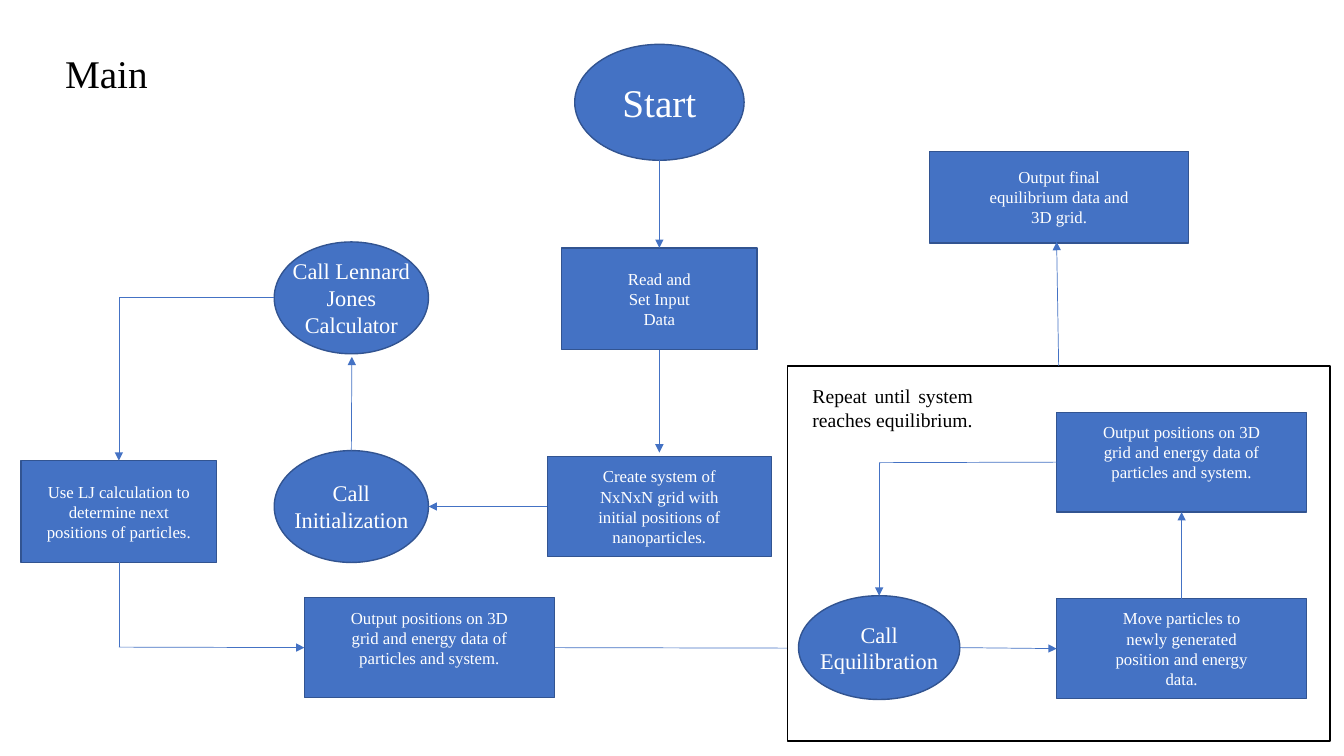
import pptx
import pptx.dml.color
import pptx.enum.shapes
import pptx.enum.text
import pptx.oxml
import pptx.oxml.ns
import pptx.util

Inches = pptx.util.Inches
Shape = pptx.enum.shapes.MSO_SHAPE
Connector = pptx.enum.shapes.MSO_CONNECTOR
Align = pptx.enum.text.PP_ALIGN

COLORS = {
    "node": "4472C4",
    "node_line": "325491",
    "white": "FFFFFF",
    "black": "000000",
}
FONT = "Times New Roman"
TOP, LEFT, BOTTOM, RIGHT = range(4)
INSET = 0.05
LINE_SPACING = 1.2


def color(name):
    return pptx.dml.color.RGBColor.from_string(COLORS[name])


def side_middle(shape, side):
    """Return the middle of one side of a shape's bounding box, in EMU."""
    across = {LEFT: 0, RIGHT: shape.width}.get(side, shape.width // 2)
    down = {TOP: 0, BOTTOM: shape.height}.get(side, shape.height // 2)
    return shape.left + across, shape.top + down


class Flowchart:
    def __init__(self, slide):
        self.slide = slide

    def box(self, kind, left, top, width, height,
            fill="node", line="node_line", shapes=None):
        shapes = shapes or self.slide.shapes
        shape = shapes.add_shape(
            kind, Inches(left), Inches(top), Inches(width), Inches(height))
        shape.shadow.inherit = False
        shape.fill.solid()
        shape.fill.fore_color.rgb = color(fill)
        shape.line.color.rgb = color(line)
        shape.line.width = pptx.util.Pt(1)
        return shape

    def label(self, text, left, top, width, lines, size,
              ink="white", align=Align.CENTER, shapes=None):
        shapes = shapes or self.slide.shapes
        height = self.label_height(lines, size)
        text_box = shapes.add_textbox(
            Inches(left), Inches(top), Inches(width), Inches(height))
        text_frame = text_box.text_frame
        text_frame.word_wrap = True
        text_frame.auto_size = pptx.enum.text.MSO_AUTO_SIZE.SHAPE_TO_FIT_TEXT
        text_frame.text = text
        paragraph = text_frame.paragraphs[0]
        paragraph.alignment = align
        font = paragraph.runs[0].font
        font.name = FONT
        font.size = pptx.util.Pt(size)
        font.color.rgb = color(ink)

    @staticmethod
    def label_height(lines, size):
        return 2 * INSET + lines * size * LINE_SPACING / 72

    def node(self, kind, bounds, text, label_width, lines, size=12):
        """Group a filled shape with a label centred on it; return the shape."""
        left, top, width, height = bounds
        shapes = self.slide.shapes.add_group_shape().shapes
        shape = self.box(kind, *bounds, shapes=shapes)
        self.label(text, left + (width - label_width) / 2,
                   top + (height - self.label_height(lines, size)) / 2,
                   label_width, lines, size, shapes=shapes)
        return shape

    def step(self, bounds, text, label_width, lines):
        return self.node(Shape.RECTANGLE, bounds, text, label_width, lines)

    def call(self, bounds, text, lines):
        return self.node(Shape.OVAL, bounds, text, 1.53, lines, 16)

    def link(self, start, end, arrow=True, elbow=False):
        """Draw a line; each end is (shape, side) or (x, y) in inches."""
        points = [
            tuple(map(Inches, place)) if isinstance(place[0], (int, float))
            and not hasattr(place[0], "left") else side_middle(*place)
            for place in (start, end)]
        kind = Connector.ELBOW if elbow else Connector.STRAIGHT
        connector = self.slide.shapes.add_connector(
            kind, *points[0], *points[1])
        for place, connect in ((start, connector.begin_connect),
                               (end, connector.end_connect)):
            shape = place[0]
            if (hasattr(shape, "auto_shape_type")
                    and shape.auto_shape_type == Shape.RECTANGLE):
                connect(*place)
        connector.line.color.rgb = color("node")
        connector.line.width = pptx.util.Pt(0.5)
        properties = connector._element.spPr
        if elbow:
            geometry = properties.find(pptx.oxml.ns.qn("a:prstGeom"))
            geometry.set("prst", "bentConnector2")
        if arrow:
            line = connector.line._get_or_add_ln()
            line.append(pptx.oxml.parse_xml(
                f'<a:tailEnd {pptx.oxml.ns.nsdecls("a")} type="triangle"/>'))
        properties.append(pptx.oxml.parse_xml(
            f'<a:effectLst {pptx.oxml.ns.nsdecls("a")}/>'))


def main():
    presentation = pptx.Presentation()
    presentation.slide_width = Inches(13.33)
    presentation.slide_height = Inches(7.5)
    chart = Flowchart(
        presentation.slides.add_slide(presentation.slide_layouts[6]))
    output_text = ("Output positions on 3D grid and energy data of "
                   "particles and system.")

    chart.label("Main", 0.16, 0.44, 1.79, 1, 28, "black")

    start = chart.node(Shape.OVAL, (5.7, 0.44, 1.68, 1.15),
                       "Start", 0.97, 1, 28)
    read_input = chart.step((5.57, 2.46, 1.94, 1.01),
                            "Read and Set Input Data", 0.97, 3)
    create_system = chart.step(
        (5.43, 4.53, 2.22, 0.99),
        "Create system of NxNxN grid with initial positions of nanoparticles.",
        1.68, 4)
    initialization = chart.call((2.72, 4.47, 1.53, 1.11),
                                "Call Initialization", 2)
    lennard_jones = chart.call((2.72, 2.4, 1.53, 1.11),
                               "Call Lennard Jones Calculator", 3)
    next_positions = chart.step(
        (0.21, 4.57, 1.94, 1.01),
        "Use LJ calculation to determine next positions of particles.",
        1.76, 3)
    first_output = chart.step((3.02, 5.93, 2.48, 0.99), output_text, 1.76, 4)

    chart.link((start, BOTTOM), (read_input, TOP))
    chart.link((read_input, BOTTOM), (6.54, 4.49))
    chart.link((create_system, LEFT), (initialization, RIGHT))
    chart.link((initialization, TOP), (3.49, 3.54))
    chart.link((lennard_jones, LEFT), (next_positions, TOP), elbow=True)
    output_corner = (1.18, 6.42)
    chart.link((next_positions, BOTTOM), output_corner, arrow=False)
    chart.link(output_corner, (first_output, LEFT))
    chart.link((first_output, RIGHT), (7.92, 6.43))

    loop_frame = chart.box(Shape.RECTANGLE, 7.81, 3.63, 5.38, 3.72,
                           "white", "black")
    chart.label("Repeat until system reaches equilibrium.",
                7.96, 3.76, 1.79, 2, 14, "black", Align.JUSTIFY)
    equilibration = chart.call((7.92, 5.91, 1.6, 1.03),
                               "Call Equilibration", 2)
    move_particles = chart.step(
        (10.48, 5.94, 2.48, 0.99),
        "Move particles to newly generated position and energy data.", 1.76, 4)
    loop_output = chart.step((10.48, 4.09, 2.48, 0.99), output_text, 1.76, 4)
    loop_corner = (8.72, 4.59)
    chart.link((loop_output, LEFT), loop_corner, arrow=False)
    chart.link(loop_corner, (equilibration, TOP))
    chart.link((equilibration, RIGHT), (move_particles, LEFT))
    chart.link((move_particles, TOP), (loop_output, BOTTOM))

    chart.step((9.22, 1.5, 2.57, 0.91),
               "Output final equilibrium data and 3D grid.", 1.68, 3)
    chart.link((loop_frame, TOP), (10.48, 2.4))

    presentation.save("out.pptx")


if __name__ == "__main__":
    main()
